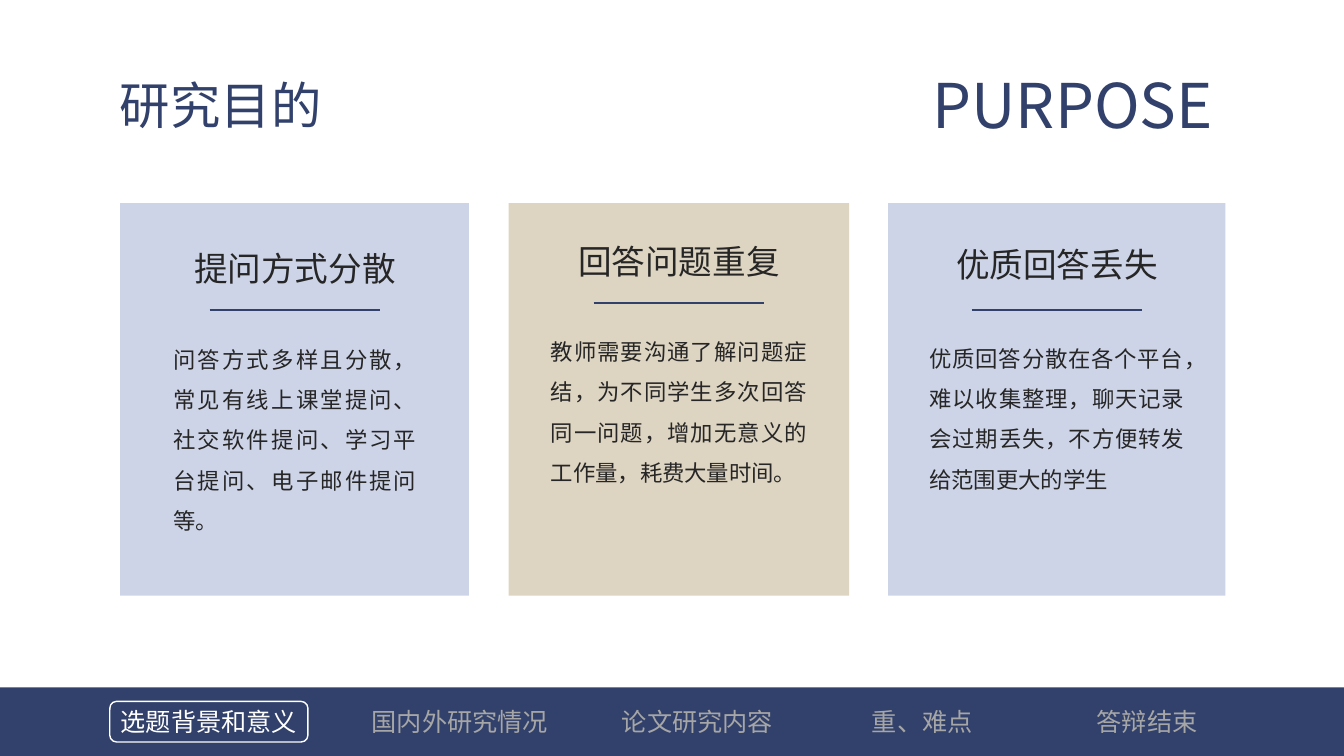
"""Build the research purpose slide with three cards and a navigation bar."""
from dataclasses import dataclass

from lxml import etree
from pptx import Presentation
from pptx.dml.color import RGBColor
from pptx.enum.lang import MSO_LANGUAGE_ID
from pptx.enum.shapes import MSO_CONNECTOR, MSO_SHAPE
from pptx.enum.text import MSO_ANCHOR, MSO_AUTO_SIZE, PP_ALIGN
from pptx.oxml.ns import qn
from pptx.shapes.autoshape import Shape
from pptx.slide import Slide
from pptx.util import Pt

RECTANGLE = MSO_SHAPE.RECTANGLE
ROUNDED = MSO_SHAPE.ROUNDED_RECTANGLE
STRAIGHT = MSO_CONNECTOR.STRAIGHT
LEFT, CENTER, JUSTIFY = PP_ALIGN.LEFT, PP_ALIGN.CENTER, PP_ALIGN.JUSTIFY
TOP = MSO_ANCHOR.TOP
GROW = MSO_AUTO_SIZE.SHAPE_TO_FIT_TEXT
CHINESE = MSO_LANGUAGE_ID.SIMPLIFIED_CHINESE


@dataclass(frozen=True)
class Theme:
    navy: str = "32416B"
    blue: str = "CED4E8"
    sand: str = "DDD4C1"
    ink: str = "262626"
    grey: str = "A6A6A6"
    white: str = "FFFFFF"
    display_font: str = "Noto Sans CJK SC"
    card_font: str = "Arial"
    banner_size: float = 44
    title_size: float = 36
    heading_size: float = 24
    navigation_size: float = 18
    body_size: float = 16


@dataclass(frozen=True)
class Box:
    left: float
    top: float
    width: float
    height: float

    def lengths(self) -> tuple[Pt, Pt, Pt, Pt]:
        return Pt(self.left), Pt(self.top), Pt(self.width), Pt(self.height)


@dataclass(frozen=True)
class TextStyle:
    size: float
    color: str
    font: str
    alignment: PP_ALIGN = LEFT
    wrap: bool = False
    line_spacing: float = 1.0


@dataclass(frozen=True)
class Card:
    heading: str
    body: str
    fill: str
    left: float
    width: float
    center: float
    heading_top: float
    rule_top: float
    body_top: float
    body_width: float
    body_height: float


@dataclass(frozen=True)
class NavigationItem:
    label: str
    center: float
    active: bool = False


THEME = Theme()
TITLE = TextStyle(THEME.title_size, THEME.navy, THEME.display_font)
BANNER = TextStyle(THEME.banner_size, THEME.navy, THEME.display_font)
HEADING = TextStyle(THEME.heading_size, THEME.ink, THEME.card_font, CENTER)
BODY = TextStyle(THEME.body_size, THEME.ink, THEME.card_font, JUSTIFY, True, 1.5)
CARD_TOP, CARD_HEIGHT = 145.2, 280.3
HEADING_WIDTH, HEADING_HEIGHT, RULE_LENGTH = 158.4, 36, 121.8
NAVIGATION_TOP, NAVIGATION_HEIGHT = 501, 29

CARDS = (
    Card("提问方式分散",
         "问答方式多样且分散，常见有线上课堂提问、社交软件提问、学习平台提问、电子邮件提问等。",
         THEME.blue, 85.8, 249.2, 210.7, 173.5, 221.2, 234, 187.9, 152.6),
    Card("回答问题重复",
         "教师需要沟通了解问题症结，为不同学生多次回答同一问题，增加无意义的工作量，耗费大量时间。",
         THEME.sand, 363.4, 243.2, 485, 168.5, 216.7, 228.4, 197.3, 123.8),
    Card("优质回答丢失",
         "优质回答分散在各个平台，难以收集整理，聊天记录会过期丢失，不方便转发给范围更大的学生",
         THEME.blue, 634.4, 241, 755, 170.6, 221.2, 233.2, 196.6, 123.8),
)
NAVIGATION = (
    NavigationItem("选题背景和意义", 149.2, True),
    NavigationItem("国内外研究情况", 328.5),
    NavigationItem("论文研究内容", 498.2),
    NavigationItem("重、难点", 658.8),
    NavigationItem("答辩结束", 819.4),
)


def apply(target: object, values: dict[str, object]) -> None:
    for name, value in values.items():
        setattr(target, name, value)


def write(shape: Shape, box: Box, text: str, style: TextStyle) -> None:
    left, top, width, height = box.lengths()
    apply(shape, {"left": left, "top": top, "width": width, "height": height})
    frame = shape.text_frame
    frame.text = text
    apply(frame, {"word_wrap": style.wrap, "auto_size": GROW, "vertical_anchor": TOP})
    paragraph = frame.paragraphs[0]
    apply(paragraph, {"alignment": style.alignment, "line_spacing": style.line_spacing})
    run = paragraph.runs[0]
    apply(run.font, {"size": Pt(style.size), "name": style.font, "language_id": CHINESE})
    run.font.color.rgb = RGBColor.from_string(style.color)
    east_asian = etree.SubElement(run.font._element, qn("a:ea"))
    east_asian.set("typeface", THEME.display_font)


def add_text(slide: Slide, box: Box, text: str, style: TextStyle) -> None:
    write(slide.shapes.add_textbox(*box.lengths()), box, text, style)


def add_panel(slide: Slide, box: Box, fill: str) -> None:
    panel = slide.shapes.add_shape(RECTANGLE, *box.lengths())
    panel.shadow.inherit = False
    panel.fill.solid()
    panel.fill.fore_color.rgb = RGBColor.from_string(fill)
    panel.line.fill.background()


def add_frame(slide: Slide, box: Box) -> None:
    frame = slide.shapes.add_shape(ROUNDED, *box.lengths())
    frame.shadow.inherit = False
    frame.fill.background()
    frame.line.color.rgb = RGBColor.from_string(THEME.white)
    frame.line.width = Pt(1)


def add_rule(slide: Slide, center: float, top: float) -> None:
    start, end = center - RULE_LENGTH / 2, center + RULE_LENGTH / 2
    rule = slide.shapes.add_connector(STRAIGHT, Pt(start), Pt(top), Pt(end), Pt(top))
    rule.line.color.rgb = RGBColor.from_string(THEME.navy)
    rule.line.width = Pt(1.5)
    etree.SubElement(rule._element.spPr, qn("a:effectLst"))


def add_card(slide: Slide, card: Card) -> None:
    add_panel(slide, Box(card.left, CARD_TOP, card.width, CARD_HEIGHT), card.fill)
    heading_box = Box(card.center - HEADING_WIDTH / 2, card.heading_top,
                      HEADING_WIDTH, HEADING_HEIGHT)
    add_text(slide, heading_box, card.heading, HEADING)
    body_box = Box(card.center - card.body_width / 2, card.body_top,
                   card.body_width, card.body_height)
    add_text(slide, body_box, card.body, BODY)
    add_rule(slide, card.center, card.rule_top)


def add_navigation_item(slide: Slide, item: NavigationItem) -> None:
    width = THEME.navigation_size * len(item.label) + 15.5
    box = Box(item.center - width / 2, NAVIGATION_TOP, width, NAVIGATION_HEIGHT)
    color = THEME.white if item.active else THEME.grey
    style = TextStyle(THEME.navigation_size, color, THEME.display_font, CENTER)
    add_text(slide, box, item.label, style)
    if item.active:
        add_frame(slide, box)


def main() -> None:
    presentation = Presentation()
    apply(presentation, {"slide_width": Pt(960), "slide_height": Pt(540)})
    slide = presentation.slides.add_slide(presentation.slide_layouts[5])
    write(slide.shapes.title, Box(78.5, 49, 159.8, 51), "研究目的", TITLE)
    add_text(slide, Box(659, 44, 226.8, 60.5), "PURPOSE", BANNER)
    add_panel(slide, Box(0, 491, 960, 49), THEME.navy)
    for item in NAVIGATION:
        add_navigation_item(slide, item)
    for card in CARDS:
        add_card(slide, card)
    presentation.save("out.pptx")


if __name__ == "__main__":
    main()
